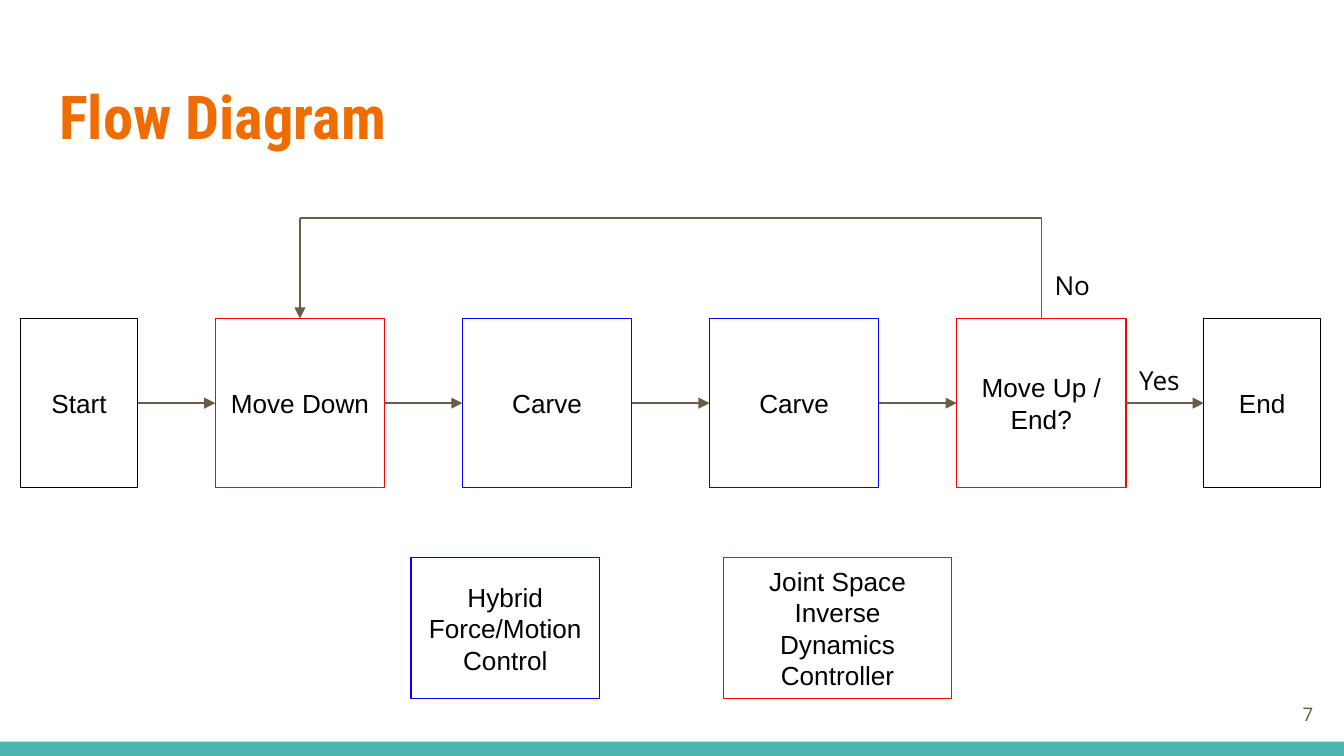
from pptx import Presentation
from pptx.dml.color import RGBColor
from pptx.enum.shapes import MSO_CONNECTOR, MSO_SHAPE
from pptx.enum.text import MSO_ANCHOR, PP_ALIGN
from pptx.oxml.ns import qn
from pptx.util import Cm, Pt
from lxml import etree

ORANGE = RGBColor(0xEF, 0x6C, 0x00)
TEAL = RGBColor(0x4D, 0xB6, 0xAC)
BROWN = RGBColor(0x69, 0x5D, 0x46)
RED = RGBColor(0xFF, 0x00, 0x00)
BLUE = RGBColor(0x00, 0x00, 0xFF)
BLACK = RGBColor(0x00, 0x00, 0x00)

TOP, BOTTOM_SIDE, LEFT, RIGHT = 0, 2, 1, 3
STEPS = [
    ("Start", 2.21, BLACK),
    ("Move Down", 3.2, RED),
    ("Carve", 3.2, BLUE),
    ("Carve", 3.2, BLUE),
    ("Move Up / End?", 3.2, RED),
    ("End", 2.21, BLACK),
]
KEYS = [
    ("Hybrid Force/Motion Control", 0, 3.56, BLUE),
    ("Joint Space Inverse Dynamics Controller", 5.9, 4.32, RED),
]


def write(shape, text, font, size, color, align=PP_ALIGN.LEFT,
          anchor=MSO_ANCHOR.TOP, bold=False):
    frame = shape.text_frame
    frame.word_wrap = True
    frame.vertical_anchor = anchor
    frame.margin_left = frame.margin_right = Cm(0.25)
    frame.margin_top = frame.margin_bottom = Cm(0.25)
    par = frame.paragraphs[0]
    par.text = text
    par.alignment = align
    par.font.name = font
    par.font.size = Pt(size)
    par.font.bold = bold
    par.font.color.rgb = color


def add_label(slide, text, left, top, width, height, *style, **extra):
    box = slide.shapes.add_textbox(Cm(left), Cm(top), Cm(width), Cm(height))
    write(box, text, *style, **extra)


def add_box(slide, text, left, top, width, height, color):
    box = slide.shapes.add_shape(
        MSO_SHAPE.RECTANGLE, Cm(left), Cm(top), Cm(width), Cm(height))
    box.shadow.inherit = False
    box.fill.background()
    box.line.color.rgb = color
    box.line.width = Pt(0.75)
    write(box, text, "Arial", 14, BLACK, PP_ALIGN.CENTER, MSO_ANCHOR.MIDDLE)
    return box


def add_arrow(slide, x1, y1, x2, y2):
    arrow = slide.shapes.add_connector(
        MSO_CONNECTOR.STRAIGHT, x1, y1, x2, y2)
    arrow.line.color.rgb = BROWN
    arrow.line.width = Pt(0.75)
    line = arrow.line._get_or_add_ln()
    etree.SubElement(line, qn("a:tailEnd"), type="triangle")
    etree.SubElement(arrow._element.spPr, qn("a:effectLst"))
    return arrow


def add_loop(slide, start, target, rise):
    """Path from the top of start, up and back, then down into target."""
    right = start.left + start.width // 2
    left = target.left + target.width // 2
    high = start.top - rise
    path = slide.shapes.build_freeform(right, start.top)
    path.add_line_segments([(right, high), (left, high)], close=False)
    bend = path.convert_to_shape()
    bend.shadow.inherit = False
    bend.fill.background()
    bend.line.color.rgb = BROWN
    bend.line.width = Pt(0.75)
    down = add_arrow(slide, left, high, left, target.top)
    down.end_connect(target, TOP)


def add_flow(slide, left, top, height, gap):
    boxes = []
    for text, width, color in STEPS:
        boxes.append(add_box(slide, text, left, top, width, height, color))
        left += width + gap

    # Arrows between neighbours
    for prev, box in zip(boxes, boxes[1:]):
        mid = prev.top + prev.height // 2
        arrow = add_arrow(slide, prev.left + prev.width, mid, box.left, mid)
        arrow.begin_connect(prev, RIGHT)
        arrow.end_connect(box, LEFT)

    # Return path and the two answers
    choice = boxes[4]
    add_loop(slide, choice, boxes[1], Cm(1.9))
    edge = (choice.left + choice.width).cm if hasattr(
        choice.left + choice.width, "cm") else (
        choice.left.cm + choice.width.cm)
    centre = edge - choice.width.cm / 2
    style = ("Open Sans", 14, BLACK)
    add_label(slide, "No", centre, top - 1.17, gap, 1.12, *style)
    add_label(slide, "Yes", edge, top + 0.61, gap, 1.12, *style)


def add_legend(slide, left, top, height):
    for text, shift, width, color in KEYS:
        add_box(slide, text, left + shift, top, width, height, color)


def add_frame(slide, width, height):
    # Bottom band, title and page number
    band = slide.shapes.add_shape(
        MSO_SHAPE.RECTANGLE, 0, Cm(height - 0.27), Cm(width), Cm(0.27))
    band.shadow.inherit = False
    band.fill.solid()
    band.fill.fore_color.rgb = TEAL
    band.line.fill.background()
    add_label(slide, "Flow Diagram", 0.87, 1.24, width - 1.74, 1.96,
              "Roboto Condensed", 32.4, ORANGE, bold=True)
    add_label(slide, "7", width - 1.85, height - 1.33, 1.52, 1.09,
              "Open Sans", 10, BROWN, PP_ALIGN.RIGHT, MSO_ANCHOR.MIDDLE)


def main():
    deck = Presentation()
    width, height = 25.4, 14.29
    deck.slide_width, deck.slide_height = Cm(width), Cm(height)
    slide = deck.slides.add_slide(deck.slide_layouts[6])
    add_frame(slide, width, height)
    add_flow(slide, 0.39, 6.02, 3.2, 1.47)
    add_legend(slide, 7.77, 10.54, 2.67)
    deck.save("out.pptx")


if __name__ == "__main__":
    main()
